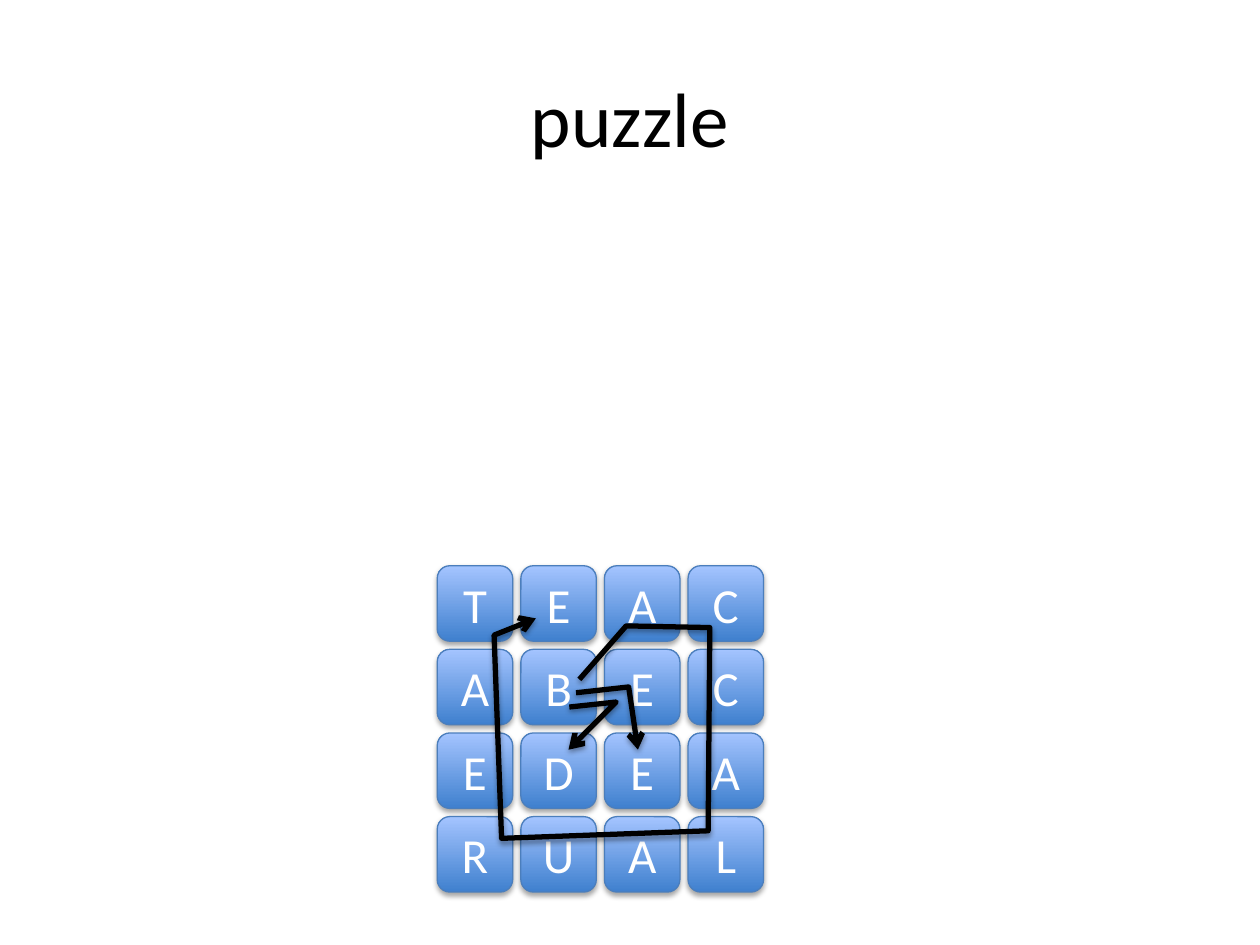
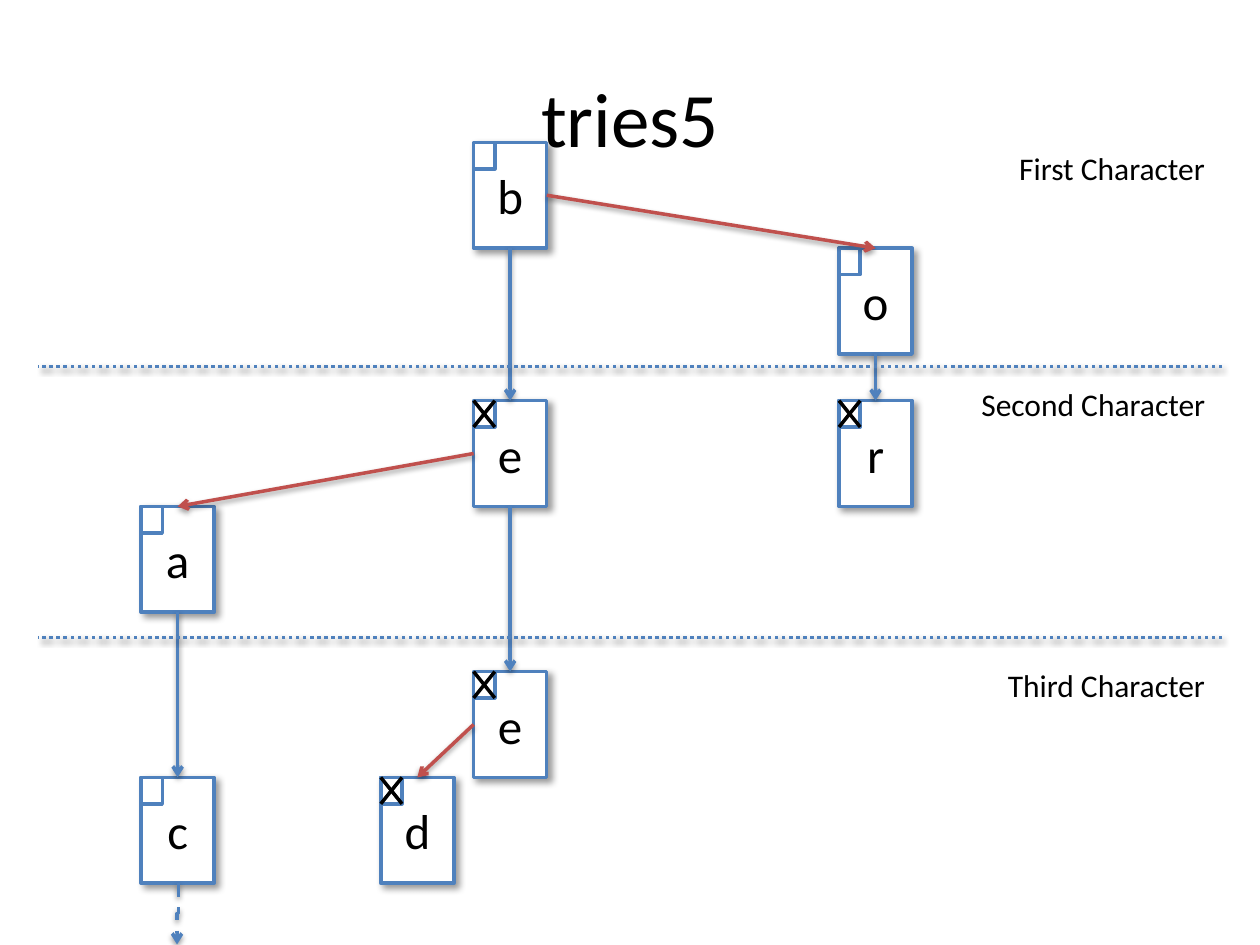
from lxml import etree
from pptx import Presentation
from pptx.dml.color import RGBColor
from pptx.enum.dml import MSO_LINE
from pptx.enum.shapes import MSO_CONNECTOR, MSO_SHAPE
from pptx.enum.text import MSO_ANCHOR, MSO_AUTO_SIZE, PP_ALIGN
from pptx.oxml.ns import qn
from pptx.util import Inches, Pt

RECT, ROUNDED = MSO_SHAPE.RECTANGLE, MSO_SHAPE.ROUNDED_RECTANGLE
STRAIGHT, ELBOW = MSO_CONNECTOR.STRAIGHT, MSO_CONNECTOR.ELBOW
DOT, DASH = MSO_LINE.ROUND_DOT, MSO_LINE.DASH
CENTER, MIDDLE = PP_ALIGN.CENTER, MSO_ANCHOR.MIDDLE
FIT = MSO_AUTO_SIZE.SHAPE_TO_FIT_TEXT

FONT = "Calibri"
WIDTH, HEIGHT = 10, 7.5
COLORS = {
    "ink": "000000", "paper": "FFFFFF", "blue": "4F81BD", "red": "C0504D",
    "tile_edge": "4B7EBC", "tile_dark": "3F80CE", "tile_light": "A4C4FF",
}
# Shadows: opacity %, blur pt, distance pt, angle
TILE_SHADOW = (35, 3.1, 1.8, 90)
LINE_SHADOW = (38, 3.1, 1.6, 90)
NODE_SHADOW = (40, 4, 3, 45)


def rgb(name):
    return RGBColor.from_string(COLORS[name])


def set_shadow(shape, shadow=None):
    """Replace the theme shadow by the given one, or by none."""
    effects = etree.SubElement(shape._element.spPr, qn("a:effectLst"))
    if shadow:
        alpha, blur, dist, angle = shadow
        outer = etree.SubElement(
            effects, qn("a:outerShdw"), blurRad=str(Pt(blur)), dist=str(Pt(dist)),
            dir=str(angle * 60000), algn="ctr", rotWithShape="0")
        color = etree.SubElement(outer, qn("a:srgbClr"), val=COLORS["ink"])
        etree.SubElement(color, qn("a:alpha"), val=str(alpha * 1000))


def set_line(shape, color, width, dash=None, arrow=False):
    shape.line.color.rgb = rgb(color)
    shape.line.width = Pt(width)
    if dash:
        shape.line.dash_style = dash
    if arrow:
        etree.SubElement(shape.line._get_or_add_ln(), qn("a:tailEnd"), type="arrow")


def set_text(shape, text, size, color="ink", align=CENTER):
    tf = shape.text_frame
    tf.vertical_anchor = MIDDLE
    p = tf.paragraphs[0]
    p.text, p.alignment = text, align
    p.font.name, p.font.size = FONT, Pt(size)
    p.font.color.rgb = rgb(color)


def add_box(slide, kind, box, line, width, fill=None, shadow=None):
    sp = slide.shapes.add_shape(kind, *map(Inches, box))
    if fill:
        sp.fill.solid()
        sp.fill.fore_color.rgb = rgb(fill)
    else:
        sp.fill.background()
    set_line(sp, line, width)
    set_shadow(sp, shadow)
    return sp


def add_line(slide, start, end, color, shadow=LINE_SHADOW, kind=STRAIGHT, **style):
    cxn = slide.shapes.add_connector(kind, *map(Inches, (*start, *end)))
    set_line(cxn, color, 2, **style)
    set_shadow(cxn, shadow)
    return cxn


def add_title(slide, text):
    box = (0.05 * WIDTH, 0.04 * HEIGHT, 0.9 * WIDTH, HEIGHT / 6)
    tb = slide.shapes.add_textbox(*map(Inches, box))
    tb.text_frame.word_wrap = True
    set_text(tb, text, 44)


# Letter board: a square of tiles with word paths, in units of the tile pitch
BOARD = ("TEAC", "ABEC", "EDEA", "RUAL")
WORD_PATHS = (
    ((1.58, 1.69), (2.14, 1.63), (1.57, 2.2)),
    ((1.66, 1.52), (2.29, 1.45), (2.4, 2.2)),
    ((1.7, 1.36), (2.26, 0.72), (3.26, 0.74), (3.24, 3.17),
     (0.77, 3.26), (0.68, 0.83), (1.18, 0.63)),
)


def add_board(slide, left, top, size):
    gap = size / 40
    pitch = (size + gap) / len(BOARD)
    tile = pitch - gap

    for row, letters in enumerate(BOARD):
        for col, letter in enumerate(letters):
            box = (left + col * pitch, top + row * pitch, tile, tile)
            sp = add_box(slide, ROUNDED, box, "tile_edge", 0.75, shadow=TILE_SHADOW)
            sp.fill.gradient()
            sp.fill.gradient_angle = 90
            for stop, color, position in zip(
                    sp.fill.gradient_stops, ("tile_dark", "tile_light"), (0, 1)):
                stop.color.rgb = rgb(color)
                stop.position = position
            set_text(sp, letter, 28, "paper")

    for path in WORD_PATHS:
        points = [(Inches(left + x * pitch), Inches(top + y * pitch)) for x, y in path]
        builder = slide.shapes.build_freeform(*points[0])
        builder.add_line_segments(points[1:], close=False)
        sp = builder.convert_to_shape()
        sp.fill.background()
        set_line(sp, "ink", 3, arrow=True)
        set_shadow(sp, LINE_SHADOW)


# Trie: columns and rows in units of the node size; siblings sit one row lower
LEVELS = (0, 2.44, 5)
COLUMNS = (0, 3.28, 4.55, 9.55)
NODES = {  # name: letter, column, level, siblings before it, ends a word
    "b": ("b", 2, 0, 0, False),
    "o": ("o", 3, 0, 1, False),
    "be": ("e", 2, 1, 0, True),
    "or": ("r", 3, 1, 0, True),
    "ba": ("a", 0, 1, 1, False),
    "bee": ("e", 2, 2, 0, True),
    "bed": ("d", 1, 2, 1, True),
    "bac": ("c", 0, 2, 1, False),
}
CHILDREN = (("b", "be"), ("be", "bee"), ("o", "or"), ("ba", "bac"))
SIBLINGS = (("b", "o"), ("be", "ba"), ("bee", "bed"))
LABELS = (("First Character", 0, 1.71), ("Second Character", 2.23, 2.01),
          ("Third Character", 4.89, 1.8))
DIVIDERS = (2.12, 4.68)


def add_node(slide, letter, box, ends_word):
    x, y, w, h = box
    sp = add_box(slide, RECT, box, "blue", 2, "paper", NODE_SHADOW)
    set_text(sp, letter, 28)
    right, bottom = x + 0.29 * w, y + 0.25 * h
    add_box(slide, RECT, (x, y, right - x, bottom - y), "blue", 2)
    if ends_word:
        add_line(slide, (x, y), (right, bottom), "ink", None)
        add_line(slide, (right, y), (x, bottom), "ink", None)


def add_trie(slide, left, top, node_w, node_h):
    boxes = {}
    for name, (letter, col, level, step, ends_word) in NODES.items():
        boxes[name] = (left + COLUMNS[col] * node_w,
                       top + (LEVELS[level] + step) * node_h, node_w, node_h)
        add_node(slide, letter, boxes[name], ends_word)

    def edge(name, across, down):
        x, y, w, h = boxes[name]
        return x + across * w, y + down * h

    # Links to the next character and to alternatives
    for parent, child in CHILDREN:
        add_line(slide, edge(parent, 0.5, 1), edge(child, 0.5, 0), "blue", arrow=True)
    for first, other in SIBLINGS:
        side = 1 if boxes[other][0] > boxes[first][0] else 0
        add_line(slide, edge(first, side, 0.5), edge(other, 0.5, 0), "red", arrow=True)

    # Open end running off the page, an elbow turned a quarter
    x, y = edge("bac", 0.5, 1)
    half, middle = (HEIGHT - y) / 2, (HEIGHT + y) / 2
    cxn = add_line(slide, (x - half, middle - 0.01), (x + half, middle), "blue",
                   kind=ELBOW, dash=DASH, arrow=True)
    cxn._element.spPr.find(qn("a:xfrm")).set("rot", str(90 * 60000))

    # Level dividers and labels
    label_right = 0.97 * WIDTH
    for row in DIVIDERS:
        y = top + row * node_h
        add_line(slide, (label_right, y), (0.03 * WIDTH, y), "blue", dash=DOT)
    for text, row, width in LABELS:
        box = (label_right - width, top + row * node_h, width, 0.4)
        tb = slide.shapes.add_textbox(*map(Inches, box))
        set_text(tb, text, 18, align=PP_ALIGN.LEFT)
        tb.text_frame.word_wrap = False
        tb.text_frame.auto_size = FIT
        tb.text_frame.vertical_anchor = MSO_ANCHOR.TOP


prs = Presentation()
prs.slide_width, prs.slide_height = Inches(WIDTH), Inches(HEIGHT)
blank = prs.slide_layouts[6]

s = prs.slides.add_slide(blank)
add_board(s, 3.47, 4.49, 2.59)
add_title(s, "puzzle")

s = prs.slides.add_slide(blank)
add_trie(s, 1.12, 1.13, 0.58, 0.84)
add_title(s, "tries5")

prs.save("out.pptx")
